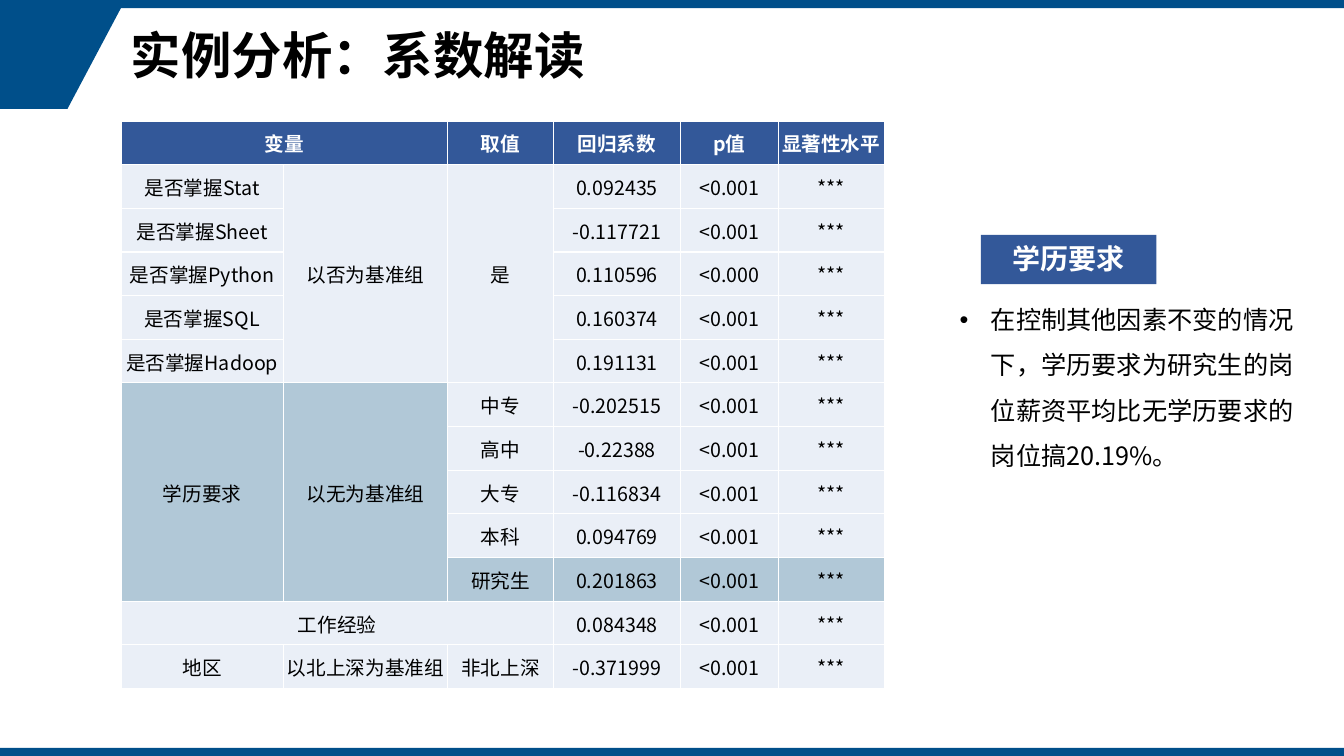
from lxml.etree import SubElement
from pptx import Presentation
from pptx.dml.color import RGBColor
from pptx.enum.shapes import MSO_SHAPE
from pptx.enum.text import MSO_ANCHOR, PP_ALIGN
from pptx.oxml.ns import qn
from pptx.util import Inches, Pt

# Content
FACE = "Noto Sans CJK SC"
NAVY, BLUE, PALE, MARK = "004F8A", "335899", "EAEFF7", "B1C8D7"
WHITE, BLACK = "FFFFFF", "000000"
TITLE = "实例分析：系数解读"
LABEL = "学历要求"
NOTE = ("在控制其他因素不变的情况下，学历要求为研究生的"
        "岗位薪资平均比无学历要求的岗位搞20.19%。")
HEAD = ["变量", "", "取值", "回归系数", "p值", "显著性水平"]
BODY = [  # variable, base group, value, coefficient, p
    ("是否掌握Stat", "以否为基准组", "是", "0.092435", "<0.001"),
    ("是否掌握Sheet", "", "", "-0.117721", "<0.001"),
    ("是否掌握Python", "", "", "0.110596", "<0.000"),
    ("是否掌握SQL", "", "", "0.160374", "<0.001"),
    ("是否掌握Hadoop", "", "", "0.191131", "<0.001"),
    ("学历要求", "以无为基准组", "中专", "-0.202515", "<0.001"),
    ("", "", "高中", "-0.22388", "<0.001"),
    ("", "", "大专", "-0.116834", "<0.001"),
    ("", "", "本科", "0.094769", "<0.001"),
    ("", "", "研究生", "0.201863", "<0.001"),
    ("工作经验", "", "", "0.084348", "<0.001"),
    ("地区", "以北上深为基准组", "非北上深", "-0.371999", "<0.001"),
]
STARS = "***"
WIDTHS = [1.61, 1.63, 1.05, 1.26, 0.97, 1.05]
HIGH = 5.63
SPANS = [  # first row, first column, last row, last column
    (0, 0, 0, 1), (1, 1, 5, 1), (1, 2, 5, 2),
    (6, 0, 10, 0), (6, 1, 10, 1), (11, 0, 11, 2),
]

deck = Presentation()
deck.slide_width, deck.slide_height = Inches(13.33), Inches(7.5)
slide = deck.slides.add_slide(deck.slide_layouts[6])


def paint(fill, tone):
    fill.solid()
    fill.fore_color.rgb = RGBColor.from_string(tone)


def style(para, size, tone, bold=False):
    font = para.font
    font.size, font.bold, font.name = Pt(size), bold, FACE
    paint(font.fill, tone)
    base = para._p.pPr.find(qn("a:defRPr"))
    SubElement(base, qn("a:ea")).set("typeface", FACE)


def finish(shape, tone):
    shape.shadow.inherit = False
    paint(shape.fill, tone)
    shape.line.fill.background()


def block(box, tone):
    finish(slide.shapes.add_shape(MSO_SHAPE.RECTANGLE, *map(Inches, box)), tone)


def write(box, text, wrap=True):
    frame = slide.shapes.add_textbox(*map(Inches, box)).text_frame
    frame.word_wrap = wrap
    frame.text = text
    return frame, frame.paragraphs[0]


def edge(cell):
    props = cell._tc.get_or_add_tcPr()
    for side in ("lnL", "lnR", "lnT", "lnB"):
        line = SubElement(props, qn("a:" + side), w=str(Pt(1)))
        fill = SubElement(line, qn("a:solidFill"))
        SubElement(fill, qn("a:srgbClr"), val=WHITE)


# Slide frame
pen = slide.shapes.build_freeform(0, Inches(0.08))
pen.add_line_segments([(Inches(x), Inches(y)) for x, y in
                       [(1.2, 0.08), (0.67, 1.08), (0, 1.08)]])
finish(pen.convert_to_shape(), NAVY)
for top in (0, 7.42):
    block((0, top, 13.33, 0.08), NAVY)

# Title
frame, para = write((1.2, 0.08, 11.22, 1), TITLE)
frame.vertical_anchor = MSO_ANCHOR.MIDDLE
para.line_spacing = 0.9
style(para, 36, BLACK, True)

# Bulleted note
frame, para = write((9.42, 2.82, 3.55, 1.87), NOTE)
para.line_spacing = 1.5
props = para._p.get_or_add_pPr()
props.set("marL", str(Inches(0.31)))
props.set("indent", str(-Inches(0.31)))
SubElement(props, qn("a:buFont"), typeface="Arial")
SubElement(props, qn("a:buChar"), char="•")
style(para, 18, BLACK)

# Coefficient table
rows = [HEAD] + [[*row, STARS] for row in BODY]
table = slide.shapes.add_table(
    len(rows), len(WIDTHS), Inches(1.2), Inches(1.2),
    Inches(sum(WIDTHS)), Inches(HIGH)).table
for col, wide in zip(table.columns, WIDTHS):
    col.width = Inches(wide)
for r, row in enumerate(rows):
    table.rows[r].height = Inches(HIGH / len(rows))
    for c, text in enumerate(row):
        cell = table.cell(r, c)
        cell.vertical_anchor = MSO_ANCHOR.MIDDLE
        cell.margin_left = cell.margin_right = cell.margin_top = Inches(0.01)
        cell.margin_bottom = 0
        edge(cell)
        marked = r == 10 or (6 <= r <= 10 and c < 2)
        paint(cell.fill, BLUE if r == 0 else MARK if marked else PALE)
        cell.text = text
        para = cell.text_frame.paragraphs[0]
        para.alignment = PP_ALIGN.CENTER
        style(para, 14, BLACK if r else WHITE, r == 0)
for top, left, low, right in SPANS:
    table.cell(top, left).merge(table.cell(low, right))

# Label above the note
block((9.73, 2.33, 1.74, 0.49), BLUE)
frame, para = write((9.94, 2.35, 1.32, 0.44), LABEL, False)
style(para, 20, WHITE, True)

deck.save("out.pptx")
